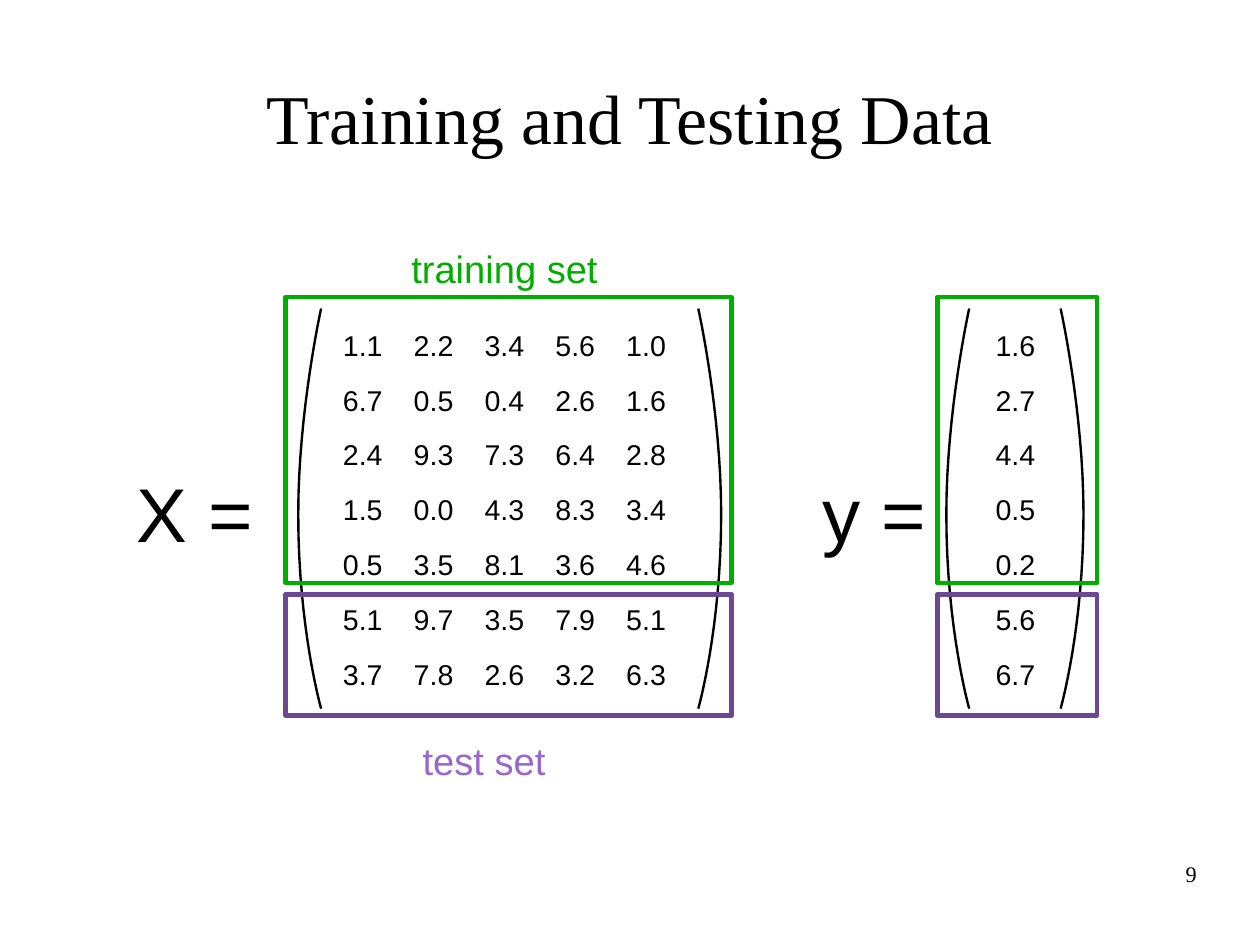
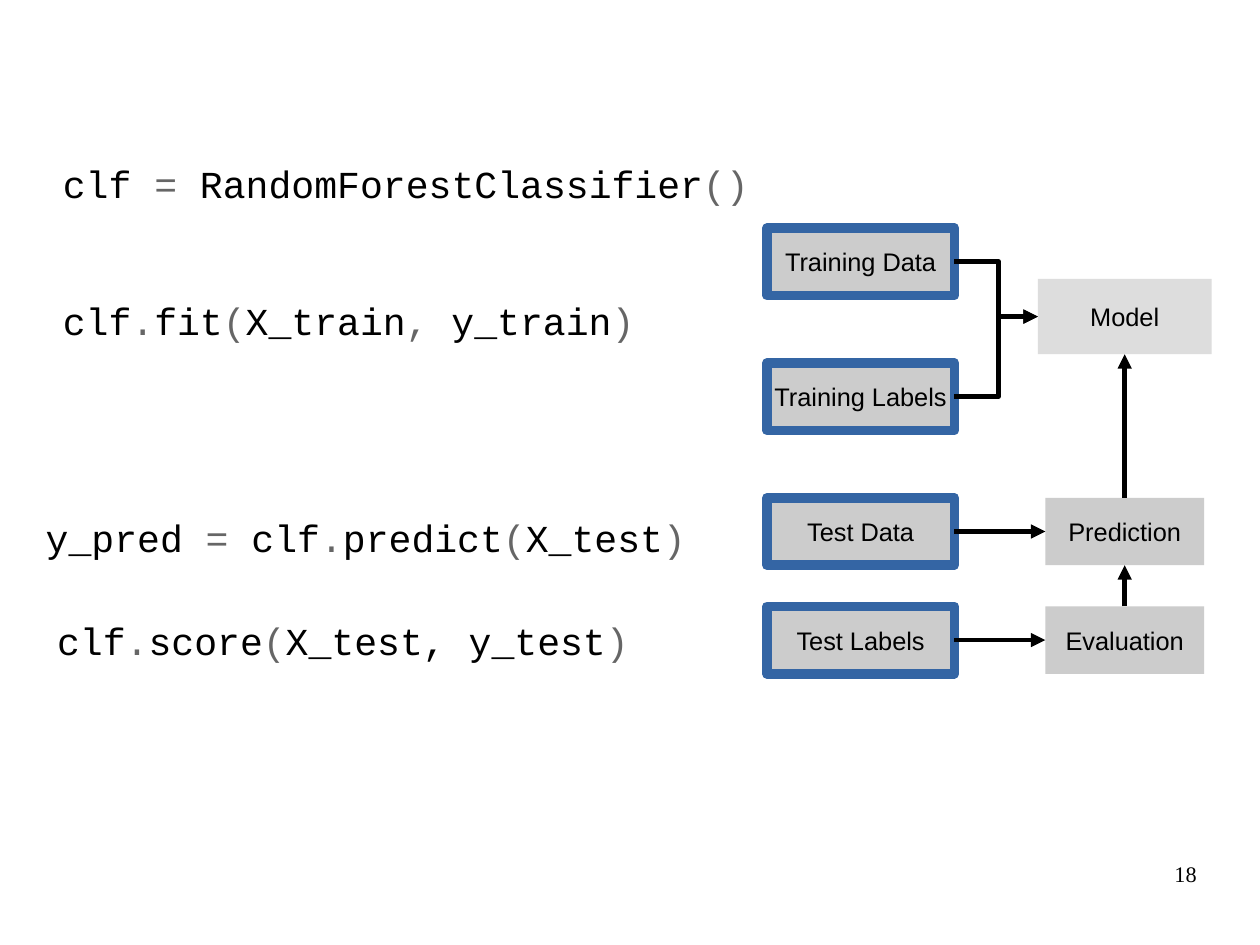
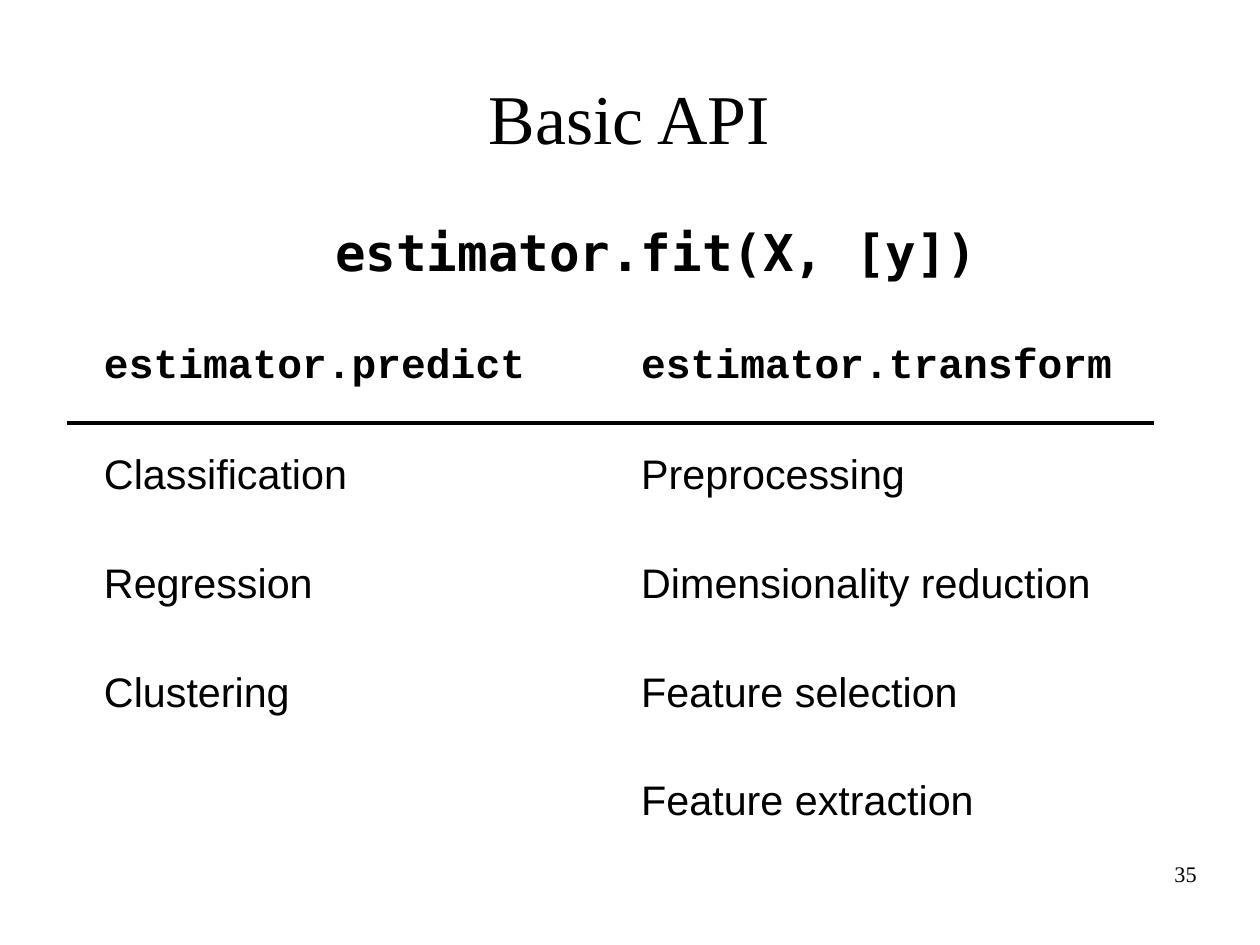
from pptx import Presentation
from pptx.dml.color import RGBColor
from pptx.enum import shapes, text
from pptx.oxml.ns import qn
from pptx import util as u
from lxml import etree

WIDTH, HEIGHT = u.Cm(28), u.Cm(21)
MARGIN = 0.55
CONTENT_WIDTH = 9.92
COLORS = {"ink": "000000", "paper": "FFFFFF", "operator": "666666", "train": "00AE00",
          "test": "9966CC", "test_frame": "6B4794", "box": "CCCCCC", "model": "DDDDDD",
          "source_edge": "3465A4"}
SANS, SERIF, CODE, CODE_HEAD = "Arial", "Times New Roman", "Courier New", "DejaVu Sans Mono"
PLAIN_TABLE = "{2D5ABB26-0587-4C30-8999-92F81FD0307C}"

FEATURES = [
    ["1.1", "2.2", "3.4", "5.6", "1.0"],
    ["6.7", "0.5", "0.4", "2.6", "1.6"],
    ["2.4", "9.3", "7.3", "6.4", "2.8"],
    ["1.5", "0.0", "4.3", "8.3", "3.4"],
    ["0.5", "3.5", "8.1", "3.6", "4.6"],
    ["5.1", "9.7", "3.5", "7.9", "5.1"],
    ["3.7", "7.8", "2.6", "3.2", "6.3"],
]
TARGETS = [["1.6"], ["2.7"], ["4.4"], ["0.5"], ["0.2"], ["5.6"], ["6.7"]]
MATRICES = [
    {"label": "X =", "label_left": 1.1, "label_width": 1.4, "values": FEATURES,
     "left": 2.9, "parens": (2.81, 6.11), "frame": (2.5, 3.9)},
    {"label": "y =", "label_left": 7.1, "label_width": 1.29, "values": TARGETS,
     "left": 8.61, "parens": (8.48, 9.28), "frame": (8.2, 1.4)},
]
SPLITS = [(2.6, 2.5, "train"), (5.2, 1.06, "test_frame")]
SET_LABELS = [("training set", 3.5, 2.1, "train"), ("test set", 3.6, 6.4, "test")]

CODE_LINES = [
    (0.55, 1.4, ["clf ", "=", " RandomForestClassifier", "()"]),
    (0.55, 2.6, ["clf", ".", "fit", "(", "X_train", ",", " y_train", ")"]),
    (0.4, 4.5, ["y_pred ", "=", " clf", ".", "predict", "(", "X_test", ")"]),
    (0.5, 5.4, ["clf", ".", "score", "(", "X_test, y_test", ")"]),
]
SOURCE_X, RESULT_X = 7.53, 9.84
SOURCE_SIZE, RESULT_SIZE, MODEL_SIZE = (1.64, 0.59), (1.39, 0.59), (1.52, 0.66)
FLOW_BOXES = [
    ("Training Data", SOURCE_X, 2.29, SOURCE_SIZE, "box", "source_edge"),
    ("Training Labels", SOURCE_X, 3.47, SOURCE_SIZE, "box", "source_edge"),
    ("Test Data", SOURCE_X, 4.65, SOURCE_SIZE, "box", "source_edge"),
    ("Test Labels", SOURCE_X, 5.6, SOURCE_SIZE, "box", "source_edge"),
    ("Model", RESULT_X, 2.77, MODEL_SIZE, "model", None),
    ("Prediction", RESULT_X, 4.65, RESULT_SIZE, "box", None),
    ("Evaluation", RESULT_X, 5.6, RESULT_SIZE, "box", None),
]
TOP, LEFT, BOTTOM, RIGHT = range(4)
FLOWS = [
    ("Training Data", RIGHT, "Model", LEFT),
    ("Training Labels", RIGHT, "Model", LEFT),
    ("Test Data", RIGHT, "Prediction", LEFT),
    ("Test Labels", RIGHT, "Evaluation", LEFT),
    ("Prediction", TOP, "Model", BOTTOM),
    ("Evaluation", TOP, "Prediction", BOTTOM),
]

METHODS = [
    ["estimator.predict", "estimator.transform"],
    ["Classification", "Preprocessing"],
    ["Regression", "Dimensionality reduction"],
    ["Clustering", "Feature selection"],
    ["", "Feature extraction"],
]


def rgb(name):
    return RGBColor.from_string(COLORS[name])


def inches(*lengths):
    return [u.Inches(length) for length in lengths]


def write(paragraph, words, size, font=SANS, color="ink", bold=False):
    run = paragraph.add_run()
    run.text = words
    run.font.name, run.font.size, run.font.bold = font, u.Pt(size), bold
    run.font.color.rgb = rgb(color)


def clear_insets(frame):
    frame.margin_left = frame.margin_right = frame.margin_top = frame.margin_bottom = 0
    frame.auto_size = text.MSO_AUTO_SIZE.NONE


def text_box(slide, left, top, width, height, inset=True, wrap=True):
    frame = slide.shapes.add_textbox(*inches(left, top, width, height)).text_frame
    frame.word_wrap = wrap
    if not inset:
        clear_insets(frame)
    return frame.paragraphs[0]


def add_page(deck, layout, number, title=None):
    slide = deck.slides.add_slide(deck.slide_layouts[layout])
    if title:
        heading = slide.shapes.title
        heading.left, heading.top, heading.width, heading.height = inches(
            MARGIN, 0.33, CONTENT_WIDTH, 1.38)
        clear_insets(heading.text_frame)
        heading.text_frame.vertical_anchor = text.MSO_ANCHOR.MIDDLE
        heading.text_frame.paragraphs[0].alignment = text.PP_ALIGN.CENTER
        write(heading.text_frame.paragraphs[0], title, 44, SERIF)
    page = text_box(slide, 7.9, 7.53, 2.57, 0.57, inset=False)
    page.alignment = text.PP_ALIGN.RIGHT
    write(page, str(number), 14, SERIF)
    return slide


def add_grid(slide, values, left, top, column, row, size, head_font=SANS, head_bold=False):
    rows, columns = len(values), len(values[0])
    grid = slide.shapes.add_table(
        rows, columns, *inches(left, top, column * columns, row * rows)).table
    grid.first_row = grid.horz_banding = False
    grid._tbl.tblPr.find(qn("a:tableStyleId")).text = PLAIN_TABLE
    for r, line in enumerate(values):
        for c, value in enumerate(line):
            cell = grid.cell(r, c)
            cell.fill.solid()
            cell.fill.fore_color.rgb = rgb("paper")
            if value:
                write(cell.text_frame.paragraphs[0], value, size,
                      SANS if r else head_font, bold=head_bold and r == 0)


def add_rect(slide, left, top, width, height, fill=None, edge=None, weight=2.89):
    rect = slide.shapes.add_shape(
        shapes.MSO_SHAPE.RECTANGLE, *inches(left, top, width, height))
    rect.shadow.inherit = False
    if fill:
        rect.fill.solid()
        rect.fill.fore_color.rgb = rgb(fill)
    else:
        rect.fill.background()
    if edge:
        rect.line.color.rgb = rgb(edge)
        rect.line.width = u.Pt(weight)
    else:
        rect.line.fill.background()
    return rect


def bezier(points, steps=16):
    for step in range(1, steps + 1):
        t = step / steps
        weights = ((1 - t) ** 3, 3 * t * (1 - t) ** 2, 3 * t * t * (1 - t), t ** 3)
        yield [sum(w * p[axis] for w, p in zip(weights, points)) for axis in (0, 1)]


def add_paren(slide, tip, bulge):
    belly = tip + bulge
    start, middle, end = (tip, 2.7), (belly, 4.5), (tip, 6.2)
    curve = [*bezier([start, start, (belly, 3.6), middle]),
             *bezier([middle, (belly, 5.5), end, end])]
    builder = slide.shapes.build_freeform(*inches(*start))
    builder.add_line_segments([inches(*point) for point in curve], close=False)
    paren = builder.convert_to_shape()
    paren.shadow.inherit = False
    paren.fill.background()
    paren.line.color.rgb = rgb("ink")
    paren.line.width = u.Pt(1.5)


def add_line(slide, kind, ends=(0, 0, 0, 0), weight=3.0):
    line = slide.shapes.add_connector(kind, *inches(*ends))
    line.line.color.rgb = rgb("ink")
    line.line.width = u.Pt(weight)
    etree.SubElement(line._element.spPr, qn("a:effectLst"))
    return line


def add_flow(slide, source, source_side, target, target_side):
    level = source.top + source.height // 2 == target.top + target.height // 2
    straight = level or source_side == TOP
    kind = shapes.MSO_CONNECTOR.STRAIGHT if straight else shapes.MSO_CONNECTOR.ELBOW
    flow = add_line(slide, kind)
    flow.begin_connect(source, source_side)
    flow.end_connect(target, target_side)
    etree.SubElement(flow.line._get_or_add_ln(), qn("a:tailEnd"), type="triangle")
    if not straight:
        adjustments = flow._element.spPr.find(qn("a:prstGeom")).get_or_add_avLst()
        etree.SubElement(adjustments, qn("a:gd"), name="adj1", fmla="val 52900")


def data_slide(deck):
    slide = add_page(deck, 5, 9, "Training and Testing Data")
    for matrix in MATRICES:
        opening, closing = matrix["parens"]
        add_paren(slide, opening, -0.2)
        add_paren(slide, closing, 0.2)
        write(text_box(slide, matrix["label_left"], 4.03, matrix["label_width"], 0.85,
                       wrap=False), matrix["label"], 48)
        add_grid(slide, matrix["values"], matrix["left"], 2.84, 0.62, 0.48, 18)
    for top, height, color in SPLITS:
        for matrix in MATRICES:
            left, width = matrix["frame"]
            add_rect(slide, left, top, width, height, edge=color)
    for label, left, top, color in SET_LABELS:
        write(text_box(slide, left, top, 2.3, 0.47), label, 24, color=color)


def workflow_slide(deck):
    slide = add_page(deck, 6, 18)
    for left, top, tokens in CODE_LINES:
        line = text_box(slide, left, top, 6.1, 0.5, inset=False, wrap=False)
        for index, token in enumerate(tokens):
            write(line, token, 24, CODE, "operator" if index % 2 else "ink")
    boxes = {}
    for label, x, y, (width, height), fill, edge in FLOW_BOXES:
        box = add_rect(slide, x - width / 2, y - height / 2, width, height, fill, edge, 6)
        box.text_frame.word_wrap = False
        box.text_frame.vertical_anchor = text.MSO_ANCHOR.MIDDLE
        box.text_frame.paragraphs[0].alignment = text.PP_ALIGN.CENTER
        write(box.text_frame.paragraphs[0], label, 16)
        boxes[label] = box
    for source, source_side, target, target_side in FLOWS:
        add_flow(slide, boxes[source], source_side, boxes[target], target_side)


def api_slide(deck):
    slide = add_page(deck, 1, 35, "Basic API")
    call = slide.placeholders[1]
    call.left, call.top, call.width, call.height = inches(MARGIN, 1.93, CONTENT_WIDTH, 0.8)
    clear_insets(call.text_frame)
    paragraph = call.text_frame.paragraphs[0]
    paragraph.alignment = text.PP_ALIGN.CENTER
    paragraph.space_before = u.Pt(0)
    properties = paragraph._p.get_or_add_pPr()
    properties.set("marL", str(u.Inches(0.47)))
    properties.set("indent", "0")
    etree.SubElement(properties, qn("a:buNone"))
    write(paragraph, "estimator.fit(X, [y])", 32, CODE_HEAD, bold=True)
    add_grid(slide, METHODS, 0.81, 2.96, 4.7, 0.95, 26, CODE, True)
    add_line(slide, shapes.MSO_CONNECTOR.STRAIGHT, (0.59, 3.7, 10.1, 3.7), 2.89)


def main():
    deck = Presentation()
    deck.slide_width = WIDTH
    deck.slide_height = HEIGHT
    data_slide(deck)
    workflow_slide(deck)
    api_slide(deck)
    deck.save("out.pptx")


if __name__ == "__main__":
    main()
